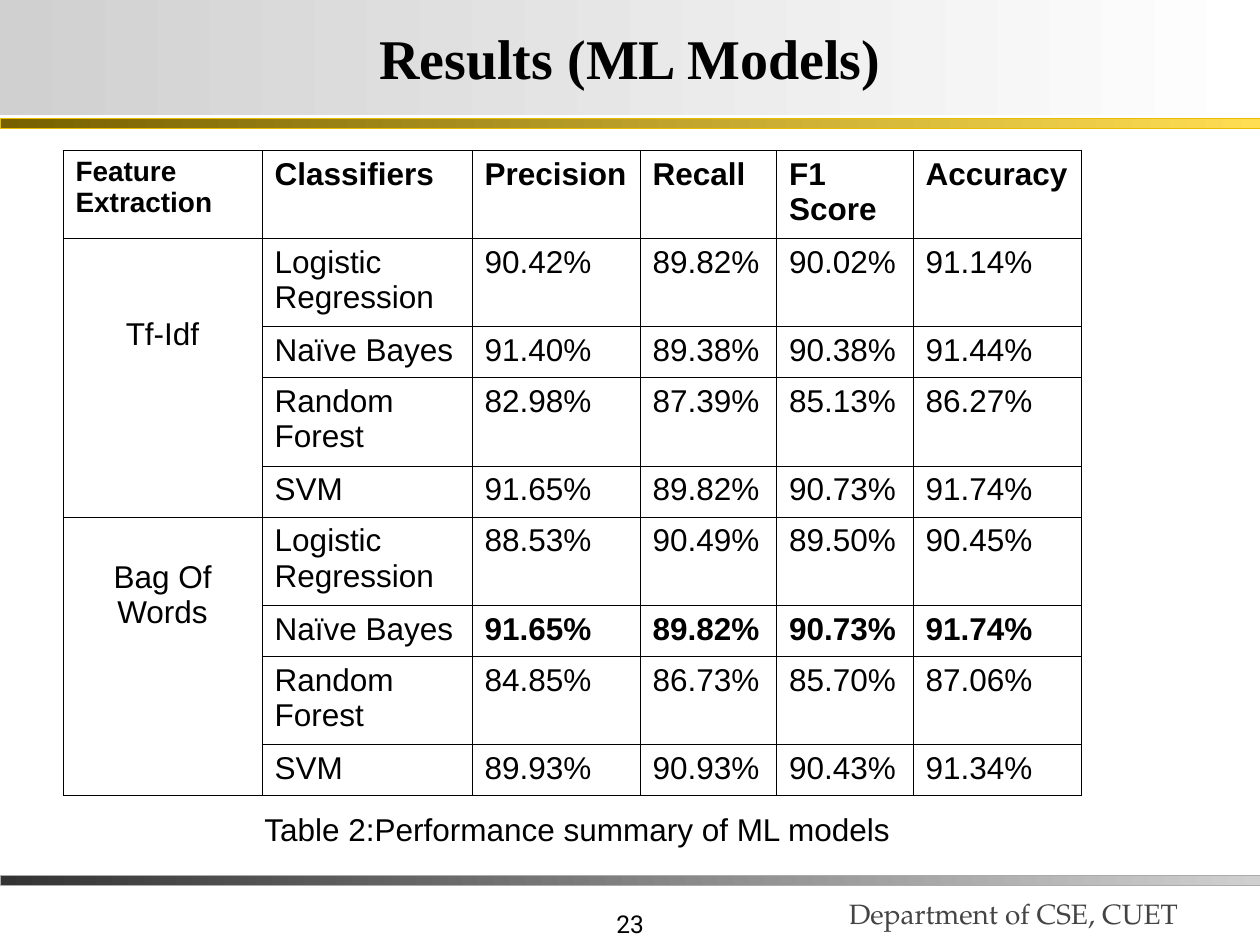
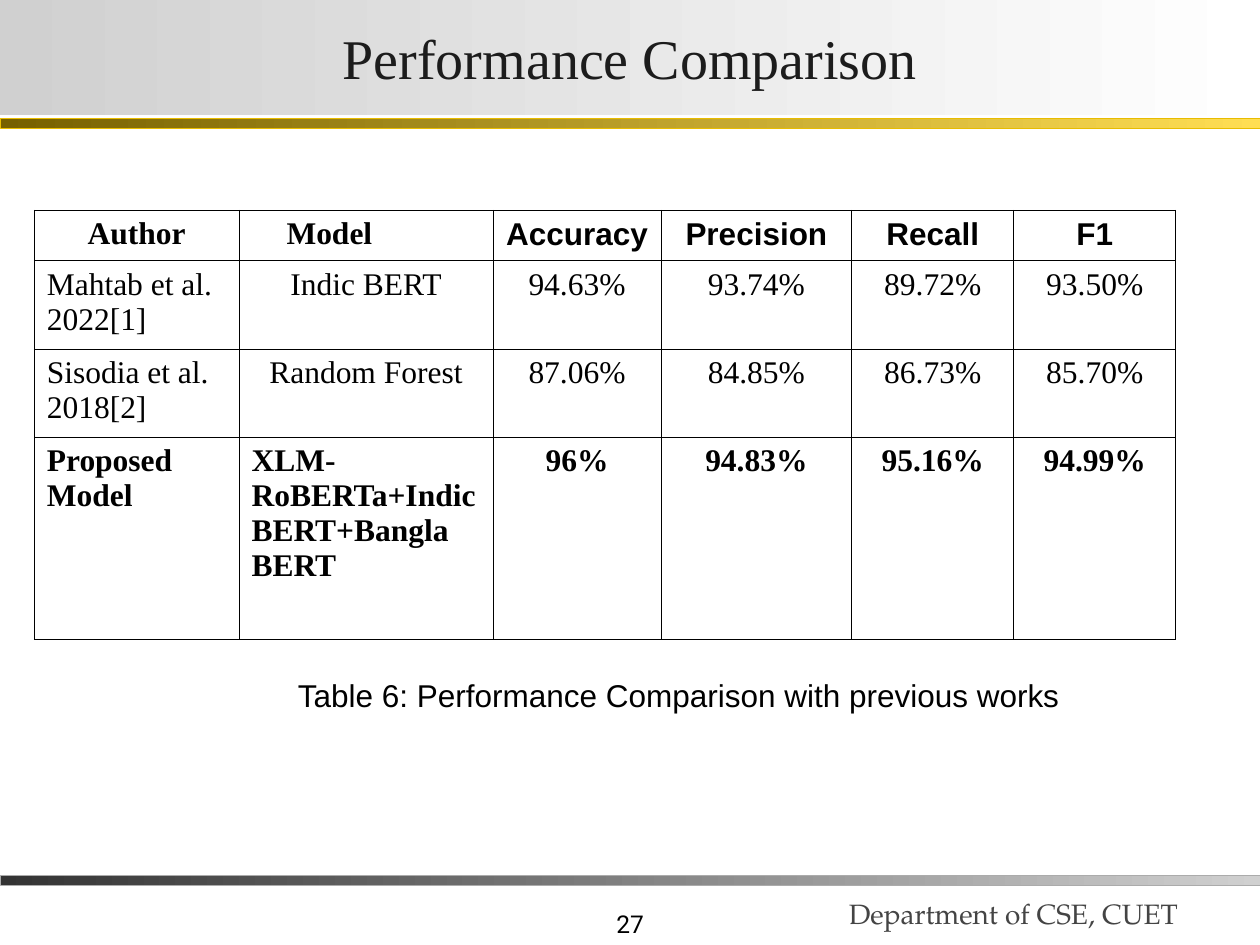
from lxml import etree
from pptx import Presentation
from pptx.dml.color import RGBColor
from pptx.enum import shapes, text
from pptx.oxml import ns
from pptx.util import Pt

SANS, SERIF = "Arial", "Times New Roman"
NUMBER_FONT, FOOTER_FONT = "Roboto", "TeX Gyre Pagella"
BLACK = "000000"
LEFT, CENTER, RIGHT = text.PP_ALIGN.LEFT, text.PP_ALIGN.CENTER, text.PP_ALIGN.RIGHT


def color(value):
    return RGBColor.from_string(value)


class Deck:
    """Shared slide style, and the slide being built."""

    width, height = 720, 540
    inset_x, inset_y = 7.2, 3.6
    body_size = 18

    def __init__(self):
        self.deck = Presentation()
        self.deck.slide_width, self.deck.slide_height = Pt(self.width), Pt(self.height)
        self.page = None

    def add_page(self, title, number, **title_style):
        self.page = self.deck.slides.add_slide(self.deck.slide_layouts[6])
        # Footer
        self.add_text(str(number), 225, 504, 150, 36, size=14, font=NUMBER_FONT,
                      align=RIGHT, anchor=text.MSO_ANCHOR.BOTTOM)
        self.add_text("Department of CSE, CUET", 478, 490, 242, 45, size=16,
                      font=FOOTER_FONT, ink="444444", anchor=text.MSO_ANCHOR.BOTTOM)
        # Bands and title
        self.add_band(500.4, 5.6, "333333", "D0D0D0", "ABABAB")
        self.add_band(67.8, 5.6, "766000", "FFDE53", "E8BC00")
        header = self.add_band(0, 65.8, "D0D0D0", "FFFFFF")
        header.text_frame.vertical_anchor = text.MSO_ANCHOR.MIDDLE
        self.set_words(header.text_frame, title, size=32, font=SERIF, align=CENTER,
                       **title_style)

    def set_words(self, frame, words, size=body_size, font=SANS, ink=BLACK, bold=False,
                  align=LEFT):
        frame.word_wrap = True
        para = frame.paragraphs[0]
        para.add_run().text = words
        para.alignment = align
        para.font.size, para.font.name, para.font.bold = Pt(size), font, bold
        para.font.color.rgb = color(ink)

    def add_text(self, words, left, top, width, height, anchor=text.MSO_ANCHOR.TOP,
                 **style):
        box = self.page.shapes.add_textbox(Pt(left), Pt(top), Pt(width), Pt(height))
        box.text_frame.vertical_anchor = anchor
        self.set_words(box.text_frame, words, **style)

    def add_band(self, top, height, start, end, edge=None):
        bar = self.page.shapes.add_shape(shapes.MSO_SHAPE.RECTANGLE, Pt(0), Pt(top),
                                         Pt(self.width), Pt(height))
        bar.shadow.inherit = False
        bar.fill.gradient()
        bar.fill.gradient_angle = 0
        for stop, value, position in zip(bar.fill.gradient_stops, (start, end), (0, 1)):
            stop.color.rgb = color(value)
            stop.position = position
        if edge:
            bar.line.color.rgb = color(edge)
            bar.line.width = Pt(0.25)
        else:
            bar.line.fill.background()
        return bar

    def add_grid(self, left, top, columns, heights, rows, style):
        """Fill a table; style(row, column) gives the text options of a cell."""
        frame = self.page.shapes.add_table(len(rows), len(columns), Pt(left), Pt(top),
                                           Pt(sum(columns)), Pt(sum(heights)))
        grid = frame.table
        grid.first_row = grid.horz_banding = False
        for column, width in zip(grid.columns, columns):
            column.width = Pt(width)
        for r, row in enumerate(rows):
            grid.rows[r].height = Pt(heights[r])
            for c, words in enumerate(row):
                cell = grid.cell(r, c)
                cell.margin_left = cell.margin_right = Pt(self.inset_x)
                cell.margin_top = cell.margin_bottom = Pt(self.inset_y)
                cell.fill.background()
                self.outline(cell)
                if words:
                    self.set_words(cell.text_frame, words, **style(r, c))
        return grid

    def outline(self, cell):
        properties = cell._tc.get_or_add_tcPr()
        for place, side in enumerate(("a:lnL", "a:lnR", "a:lnT", "a:lnB")):
            line = etree.Element(ns.qn(side), w=str(Pt(0.45)))
            fill = etree.SubElement(line, ns.qn("a:solidFill"))
            etree.SubElement(fill, ns.qn("a:srgbClr"), val=BLACK)
            properties.insert(place, line)


def add_results(deck):
    deck.add_page("Results (ML Models)", 23, bold=True)
    rows = [
        ["Feature Extraction", "Classifiers", "Precision", "Recall", "F1 Score", "Accuracy"],
        ["Tf-Idf", "Logistic Regression", "90.42%", "89.82%", "90.02%", "91.14%"],
        ["", "Naïve Bayes", "91.40%", "89.38%", "90.38%", "91.44%"],
        ["", "Random Forest", "82.98%", "87.39%", "85.13%", "86.27%"],
        ["", "SVM", "91.65%", "89.82%", "90.73%", "91.74%"],
        ["Bag Of Words", "Logistic Regression", "88.53%", "90.49%", "89.50%", "90.45%"],
        ["", "Naïve Bayes", "91.65%", "89.82%", "90.73%", "91.74%"],
        ["", "Random Forest", "84.85%", "86.73%", "85.70%", "87.06%"],
        ["", "SVM", "89.93%", "90.93%", "90.43%", "91.34%"],
    ]
    best_row = 6

    def style(row, column):
        return dict(size=16 if row == column == 0 else deck.body_size,
                    bold=row == 0 or (row == best_row and column > 1),
                    align=CENTER if row and column == 0 else LEFT)

    heights = [50.4] + [50.4, 29.2] * 4
    grid = deck.add_grid(36, 85.8, [113.8, 120, 96, 78, 78, 96], heights, rows, style)
    # Each feature spans its four classifiers
    for first, drop in ((1, 41.4), (5, 20.7)):
        feature = grid.cell(first, 0)
        feature.merge(grid.cell(first + 3, 0))
        feature.margin_top = Pt(deck.inset_y + drop)
    deck.add_text("Table 2:Performance summary of ML models", 144, 459.5, 402, 29)


def add_comparison(deck):
    deck.add_page("Performance Comparison", 27, ink="1C1C1C")
    rows = [
        ["Author", "Model", "Accuracy", "Precision", "Recall", "F1"],
        ["Mahtab et al. 2022[1]", "Indic BERT", "94.63%", "93.74%", "89.72%", "93.50%"],
        ["Sisodia et al. 2018[2]", "Random Forest", "87.06%", "84.85%", "86.73%", "85.70%"],
        ["Proposed Model", "XLM-RoBERTa+Indic BERT+Bangla BERT", "96%", "94.83%",
         "95.16%", "94.99%"],
    ]
    left_cells = {(0, 1), (1, 0), (2, 0), (3, 0), (3, 1)}

    def style(row, column):
        return dict(font=SANS if row == 0 and column > 1 else SERIF,
                    bold=row in (0, 3),
                    align=LEFT if (row, column) in left_cells else CENTER)

    grid = deck.add_grid(19.6, 120.2, [117, 145.2, 96, 109, 92.6, 92.6],
                         [28.8, 50.4, 50.4, 115.4], rows, style)
    grid.cell(0, 1).margin_left = Pt(deck.inset_x + 20)
    deck.add_text("Table 6: Performance Comparison with previous works",
                  163.2, 383, 460, 29)


def main():
    deck = Deck()
    add_results(deck)
    add_comparison(deck)
    deck.deck.save("out.pptx")


if __name__ == "__main__":
    main()
